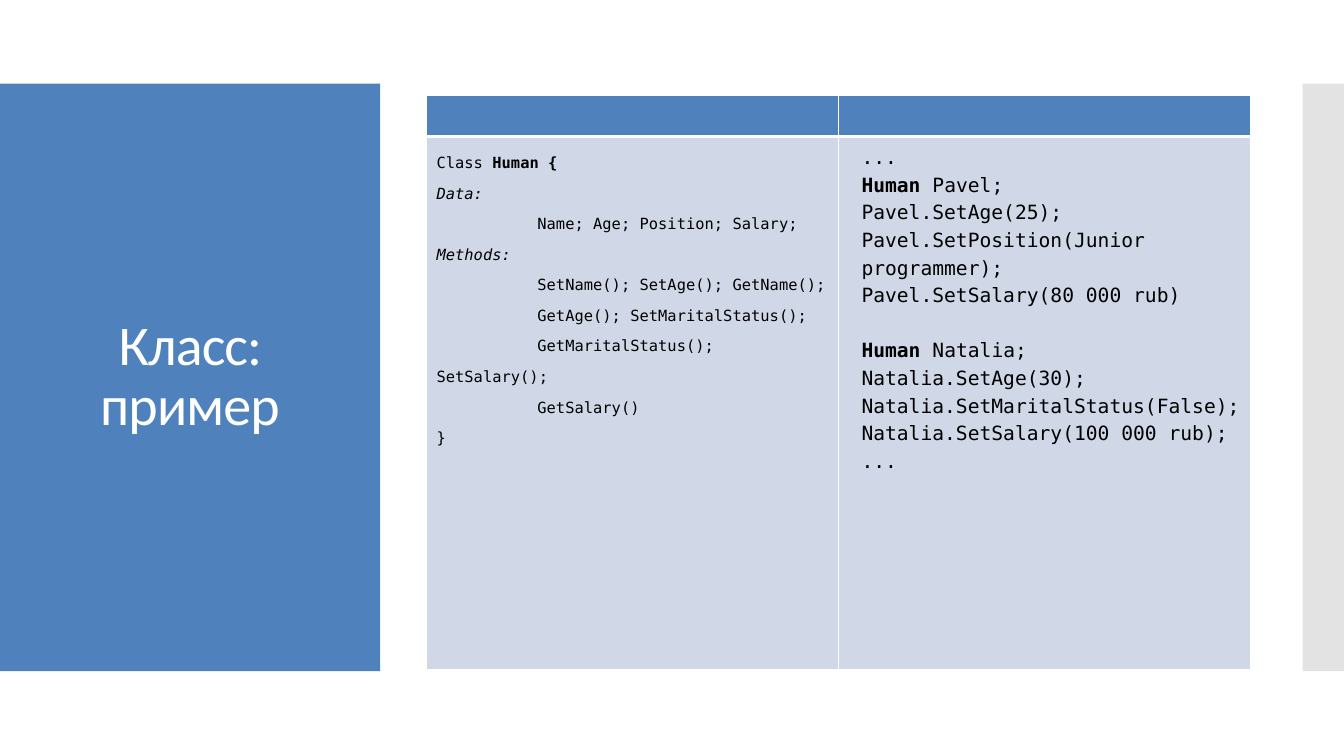
from lxml import etree
from pptx import Presentation
from pptx.dml.color import RGBColor
from pptx.enum.shapes import MSO_SHAPE
from pptx.enum.text import MSO_ANCHOR, MSO_AUTO_SIZE, PP_ALIGN
from pptx.oxml.ns import qn
from pptx.util import Inches, Pt

COLORS = {"blue": "4F81BD", "gray": "C8C8C8", "cell": "D0D8E8", "white": "FFFFFF", "black": "000000"}
CODE_FONT = "DejaVu Sans Mono"

# Each line is a list of (text, style) runs; "b" is bold, "i" is italic.
CLASS_CODE = [
    [("Class ", ""), ("Human {", "b")],
    [("Data:", "i")],
    [("\tName; Age; Position; Salary; ", ""), ("Methods:", "i")],
    [("\tSetName(); SetAge(); GetName();", ""), ("\n", ""), ("\tGetAge(); SetMaritalStatus();", "")],
    [("\tGetMaritalStatus(); SetSalary();", "")],
    [("\tGetSalary()", "")],
    [("}", "")],
]
USAGE_CODE = [
    [("...", "")],
    [("Human", "b"), (" Pavel;", "")],
    [("Pavel.SetAge(25);", "")],
    [("Pavel.SetPosition(Junior programmer);", "")],
    [("Pavel.SetSalary(80 000 rub)", "")],
    [("Human", "b"), (" Natalia;", "")],
    [("Natalia.SetAge(30);", "")],
    [("Natalia.SetMaritalStatus(False);", "")],
    [("Natalia.SetSalary(100 000 rub);", "")],
    [("...", "")],
]


def style_cell(cell, color, top, bottom):
    """Fill a cell and give it white borders; top and bottom are widths in points."""
    properties = cell._tc.get_or_add_tcPr()
    for side, width in (("L", 1), ("R", 1), ("T", top), ("B", bottom)):
        line = etree.SubElement(properties, qn(f"a:ln{side}"), w=str(Pt(width)))
        fill = etree.SubElement(line, qn("a:solidFill"))
        etree.SubElement(fill, qn("a:srgbClr"), val=COLORS["white"])
    cell.fill.solid()
    cell.fill.fore_color.rgb = RGBColor.from_string(color)


def write_code(cell, lines, size, spacing):
    frame = cell.text_frame
    for index, runs in enumerate(lines):
        paragraph = frame.paragraphs[0] if index == 0 else frame.add_paragraph()
        paragraph.line_spacing = spacing
        for text, style in runs:
            if text == "\n":
                paragraph.add_line_break()
                continue
            run = paragraph.add_run()
            run.text = text
            run.font.name = CODE_FONT
            run.font.size = Pt(size)
            run.font.bold = style == "b"
            run.font.italic = style == "i"
            run.font.color.rgb = RGBColor.from_string(COLORS["black"])


presentation = Presentation()
presentation.slide_width = Inches(13.33)
presentation.slide_height = Inches(7.5)
slide = presentation.slides.add_slide(presentation.slide_layouts[5])
title = slide.shapes.title

# Side panels, placed behind the title
for position, (left, width, color) in enumerate([(0, 3.77, "blue"), (12.92, 0.41, "gray")]):
    panel = slide.shapes.add_shape(
        MSO_SHAPE.RECTANGLE, Inches(left), Inches(0.83), Inches(width), Inches(5.83))
    panel.shadow.inherit = False
    panel.fill.solid()
    panel.fill.fore_color.rgb = RGBColor.from_string(COLORS[color])
    panel.line.fill.background()
    if color == "gray":
        color_element = panel._element.spPr.find(".//" + qn("a:srgbClr"))
        etree.SubElement(color_element, qn("a:alpha"), val="50000")
    slide.shapes._spTree.insert(2 + position, panel._element)

# Title
title.left, title.top = Inches(0.28), Inches(1.23)
title.width, title.height = Inches(3.21), Inches(5.03)
frame = title.text_frame
frame.word_wrap = True
frame.auto_size = MSO_AUTO_SIZE.NONE
frame.vertical_anchor = MSO_ANCHOR.MIDDLE
paragraph = frame.paragraphs[0]
paragraph.alignment = PP_ALIGN.CENTER
paragraph.line_spacing = 0.9
run = paragraph.add_run()
run.text = "Класс: пример"
run.font.name = "Calibri"
run.font.size = Pt(40)
run.font.color.rgb = RGBColor.from_string(COLORS["white"])
run.font._element.set("spc", "-60")

# Code table
table = slide.shapes.add_table(
    2, 2, Inches(4.23), Inches(0.95), Inches(8.17), Inches(5.69)).table
table.rows[0].height = Inches(0.4)
table.rows[1].height = Inches(5.29)
for column in range(2):
    style_cell(table.cell(0, column), COLORS["blue"], 1, 3)
    style_cell(table.cell(1, column), COLORS["cell"], 3, 1)

class_cell, usage_cell = table.cell(1, 0), table.cell(1, 1)
write_code(class_cell, CLASS_CODE, 11, 1.7)
for paragraph in class_cell.text_frame.paragraphs:
    tab_stops = etree.SubElement(paragraph._p.get_or_add_pPr(), qn("a:tabLst"))
    etree.SubElement(tab_stops, qn("a:tab"), pos=str(Inches(1)), algn="l")

write_code(usage_cell, USAGE_CODE, 14, 1.2)
usage_cell.margin_right = Inches(0.05)
for paragraph in usage_cell.text_frame.paragraphs:
    paragraph._p.get_or_add_pPr().set("marL", str(Inches(0.13)))
    if paragraph.text == "Human Natalia;":
        paragraph.space_before = Pt(19.7)

presentation.save("out.pptx")
